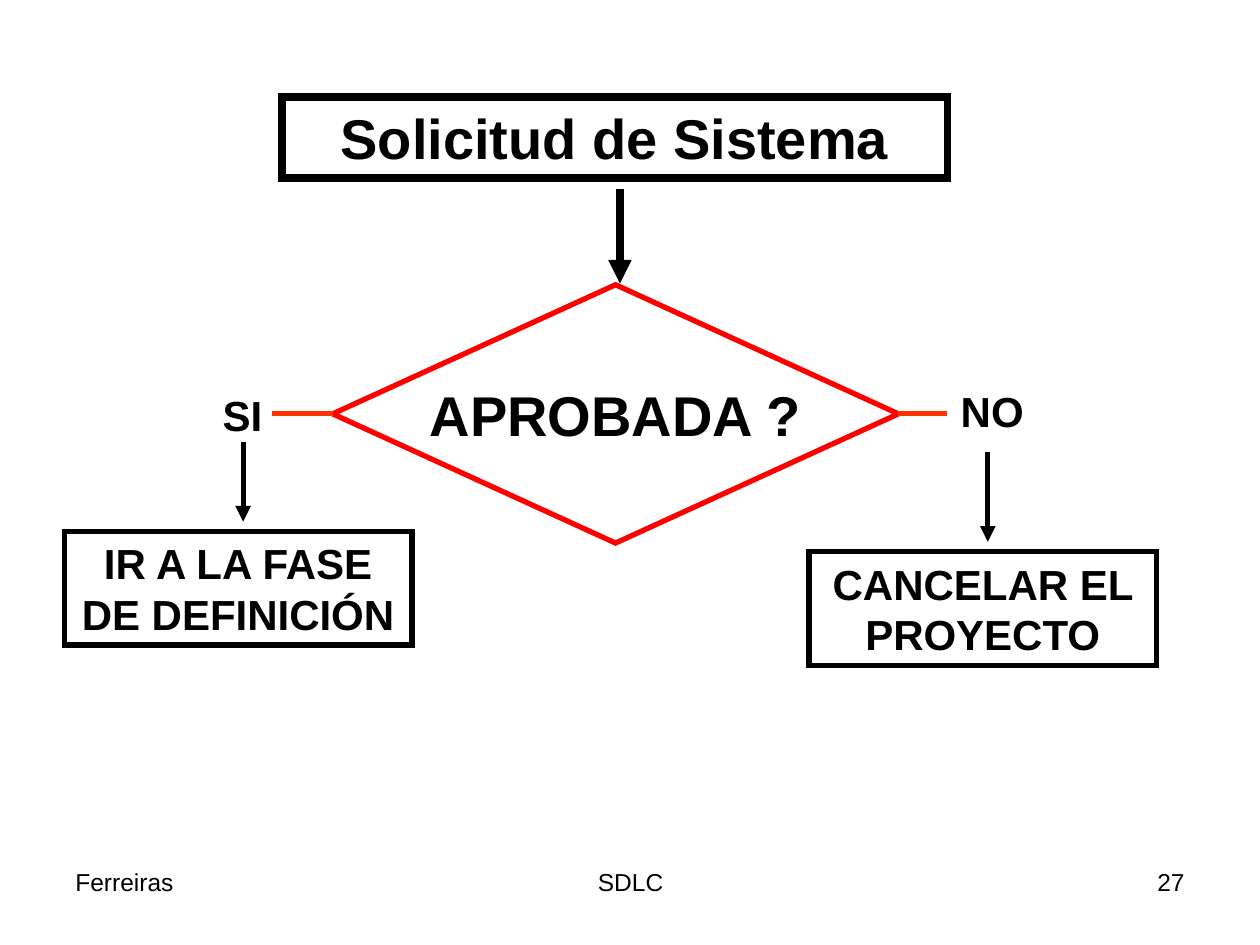
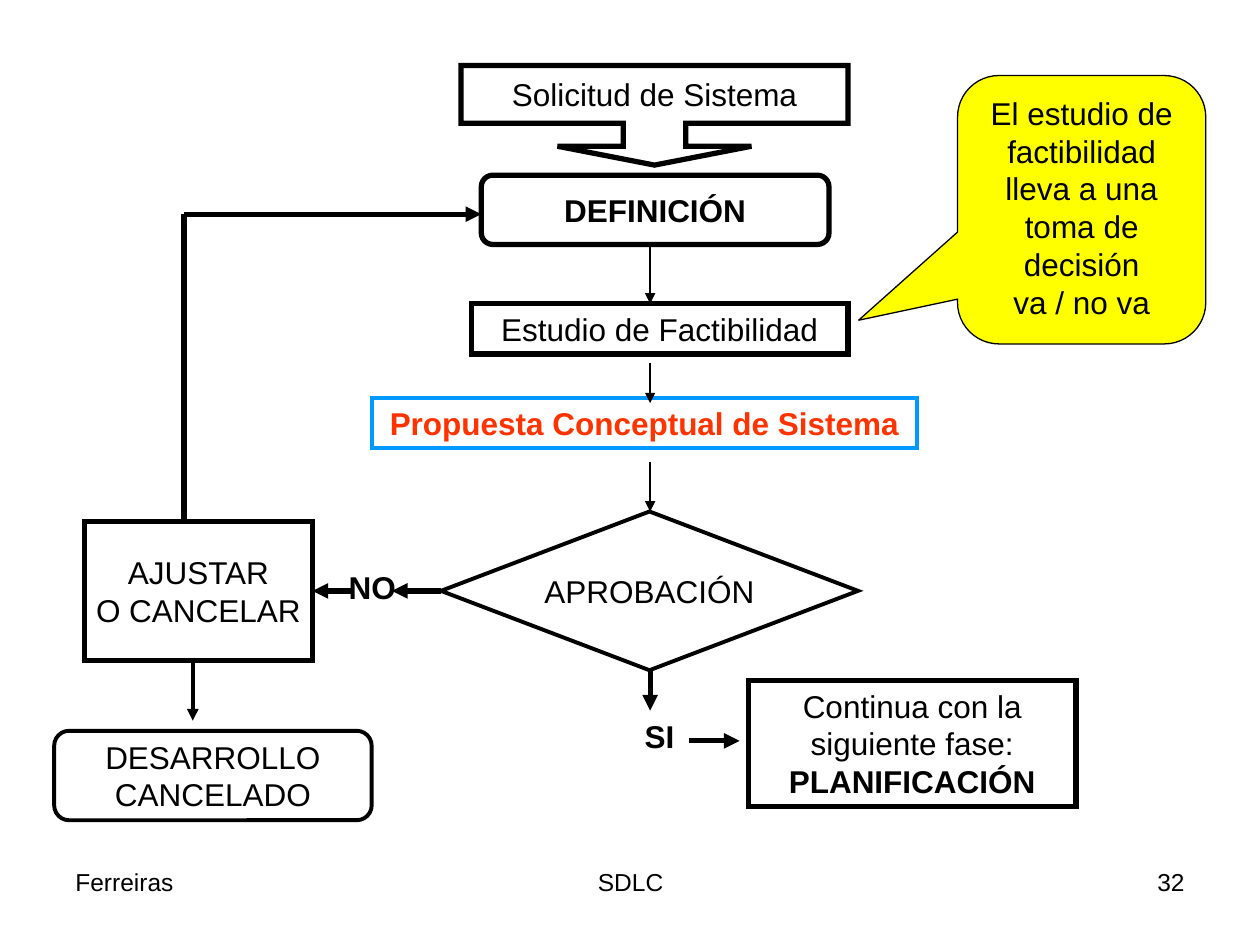
from lxml import etree
from pptx import Presentation
from pptx.dml.color import RGBColor
from pptx.enum.shapes import MSO_CONNECTOR, MSO_SHAPE
from pptx.enum.text import MSO_ANCHOR, PP_ALIGN
from pptx.oxml.ns import qn
from pptx.util import Emu, Pt

PX = 9144  # 100 px to the inch
FONT = "Arial"
COLORS = {"black": "000000", "red": "FF0000", "orange": "FF3300",
          "blue": "0099FF", "yellow": "FFFF00"}
RECT, ROUND, DIAMOND = MSO_SHAPE.RECTANGLE, MSO_SHAPE.ROUNDED_RECTANGLE, MSO_SHAPE.DIAMOND
ARROW_CALLOUT = MSO_SHAPE.DOWN_ARROW_CALLOUT
SPEECH = MSO_SHAPE.ROUNDED_RECTANGULAR_CALLOUT
STRAIGHT = MSO_CONNECTOR.STRAIGHT
TOP, MIDDLE = MSO_ANCHOR.TOP, MSO_ANCHOR.MIDDLE
LEFT, CENTER, RIGHT = PP_ALIGN.LEFT, PP_ALIGN.CENTER, PP_ALIGN.RIGHT


def add_box(s, kind, at, text, size, bold=False, width=3, line="black", color="black",
            fill=None, anchor=TOP, wrap=True, align=CENTER, adj=()):
    """Add a text shape; kind None gives a plain text box."""
    at = [Emu(v * PX) for v in at]
    if kind is None:
        sp = s.shapes.add_textbox(*at)
    else:
        sp = s.shapes.add_shape(kind, *at)
        sp.shadow.inherit = False
        for i, value in enumerate(adj):
            sp.adjustments[i] = value
        if fill:
            sp.fill.solid()
            sp.fill.fore_color.rgb = RGBColor.from_string(COLORS[fill])
        else:
            sp.fill.background()
        sp.line.color.rgb = RGBColor.from_string(COLORS[line])
        sp.line.width = Pt(width)
        ln = sp._element.spPr.find(qn("a:ln"))
        etree.SubElement(ln, qn("a:miter"), lim="800000")
    tf = sp.text_frame
    tf.text = text
    tf.word_wrap = wrap
    tf.vertical_anchor = anchor
    for p in tf.paragraphs:
        p.alignment = align
        for r in p.runs:
            r.font.name = FONT
            r.font.size = Pt(size)
            r.font.bold = bold
            r.font.color.rgb = RGBColor.from_string(COLORS[color])
    return sp


def add_line(s, points, width=3, color="black", arrow=True):
    """Add a straight connector, with an arrowhead at its end if wanted."""
    cx = s.shapes.add_connector(STRAIGHT, *[Emu(v * PX) for v in points])
    cx.line.color.rgb = RGBColor.from_string(COLORS[color])
    cx.line.width = Pt(width)
    spPr = cx._element.spPr
    if arrow:
        etree.SubElement(spPr.find(qn("a:ln")), qn("a:tailEnd"), type="triangle")
    etree.SubElement(spPr, qn("a:effectLst"))


prs = Presentation()
prs.slide_width, prs.slide_height = Emu(1000 * PX), Emu(750 * PX)
blank = prs.slide_layouts[6]

# Slide 1: decision on the request
s = prs.slides.add_slide(blank)
add_box(s, RECT, (224, 77, 528, 64), "Solicitud de Sistema", 32, True, 4.5)
add_box(s, DIAMOND, (264, 226, 449, 205), "APROBADA ?", 32, True,
        line="red", anchor=MIDDLE, wrap=False)
for at, text in [((161, 304, 63, 50), "SI"), ((744, 301, 87, 50), "NO")]:
    add_box(s, None, at, text, 24, True)
for x, y, text in [(51, 422, "IR A LA FASE DE DEFINICIÓN"),
                   (642, 438, "CANCELAR EL PROYECTO")]:
    add_box(s, RECT, (x, y, 276, 90), text, 24, True)
add_line(s, (492, 150, 492, 225), 4.5)
add_line(s, (193, 351, 193, 414))
add_line(s, (784, 359, 784, 430))
for x1, x2 in [(264, 216), (713, 752)]:
    add_line(s, (x1, 328, x2, 328), color="orange", arrow=False)

# Slide 2: definition phase, main column
s = prs.slides.add_slide(blank)
add_box(s, ARROW_CALLOUT, (366, 52, 307, 79), "Solicitud de Sistema", 18,
        anchor=MIDDLE, wrap=False, adj=(0.628, 0.974, 0.189, 0.579))
add_box(s, ROUND, (382, 139, 276, 55), "DEFINICIÓN", 18, True,
        anchor=MIDDLE, wrap=False, adj=(0.167,))
add_box(s, RECT, (374, 241, 299, 40), "Estudio de Factibilidad", 18)
add_box(s, RECT, (295, 316, 433, 40), "Propuesta Conceptual de Sistema", 18, True,
        2.25, "blue", "orange")
add_box(s, DIAMOND, (350, 406, 331, 126), "APROBACIÓN", 18, width=2.25,
        anchor=MIDDLE, wrap=False)
for y1, y2, width in [(194, 241, 0.75), (288, 320, 0.75), (367, 406, 0.75), (532, 564, 3)]:
    add_line(s, (516, y1, 516, y2), width)

# Approved branch
add_box(s, None, (492, 564, 63, 40), "SI", 18, True)
add_line(s, (547, 588, 587, 588))
sp = add_box(s, RECT, (594, 540, 260, 100), "Continua con la siguiente fase: ", 18)
r = sp.text_frame.paragraphs[0].add_run()
r.text = "PLANIFICACIÓN"
r.font.name, r.font.size, r.font.bold = FONT, Pt(18), True
r.font.color.rgb = RGBColor.from_string(COLORS["black"])

# Rejected branch and its way back
add_box(s, None, (264, 446, 63, 40), "NO", 18, True)
add_box(s, RECT, (67, 414, 181, 110), "AJUSTAR\nO CANCELAR", 18,
        anchor=MIDDLE, wrap=False)
add_box(s, ROUND, (43, 580, 252, 71), "DESARROLLO\nCANCELADO", 18, width=2.25,
        anchor=MIDDLE, wrap=False, adj=(0.167,))
for x1, x2 in [(350, 311), (279, 248)]:
    add_line(s, (x1, 469, x2, 469))
add_line(s, (146, 414, 146, 170), arrow=False)
add_line(s, (146, 170, 382, 170))
add_line(s, (153, 525, 153, 572), 2.25)

# Remark
add_box(s, SPEECH, (760, 60, 197, 213),
        "El estudio de factibilidad lleva a una toma de decisión\nva / no va", 18,
        width=0.75, fill="yellow", adj=(-0.899, 0.412, 0.167))

# Footers
for s, number in zip(prs.slides, ("27", "32")):
    for x, w, text, align in [(50, 233, "Ferreiras", LEFT), (342, 317, "SDLC", CENTER),
                              (717, 233, number, RIGHT)]:
        add_box(s, None, (x, 683, w, 52), text, 14, align=align)

prs.save("out.pptx")
